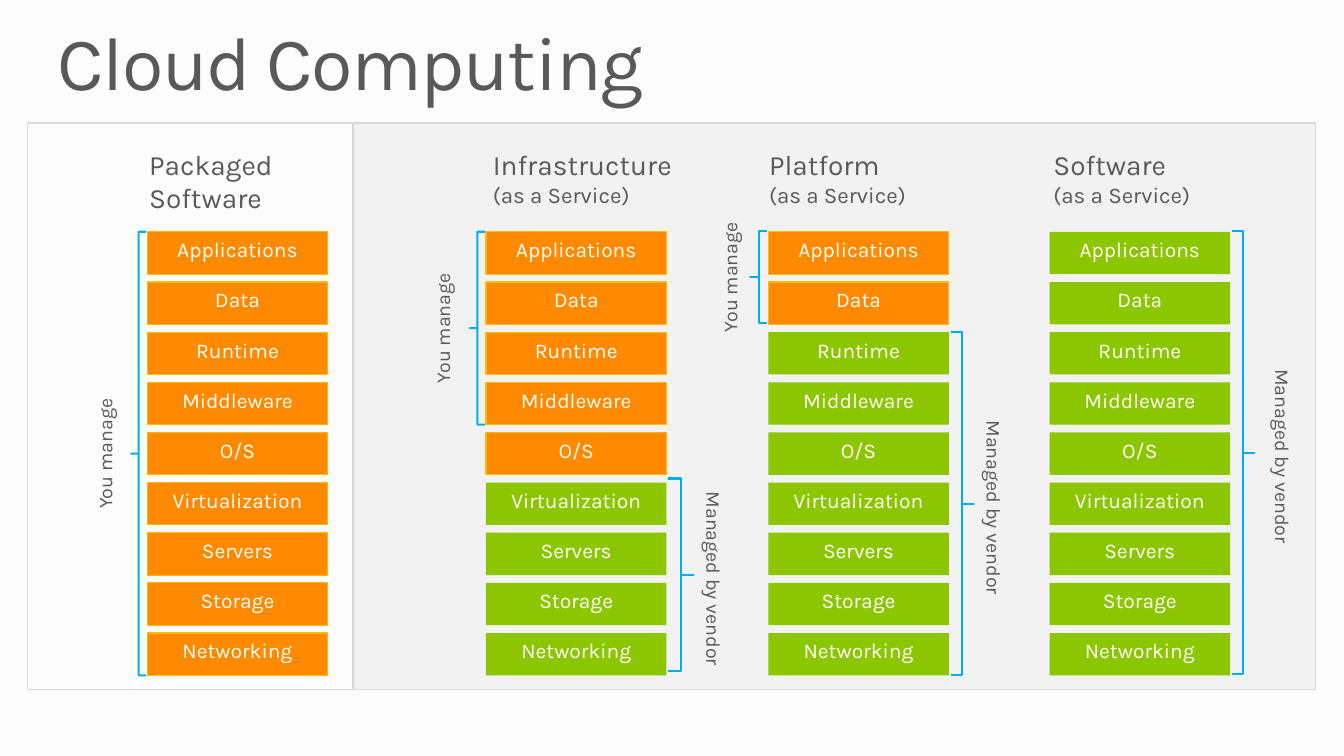
from dataclasses import dataclass

from pptx import Presentation
from pptx.dml.color import RGBColor as RGB
from pptx.enum.shapes import MSO_SHAPE as SHAPE
from pptx.enum.text import MSO_ANCHOR as ANCHOR, MSO_AUTO_SIZE as AUTO, PP_ALIGN as ALIGN
from pptx.util import Inches, Pt


@dataclass(frozen=True)
class Theme:
    """Colours, font and type sizes."""
    font: str = "Karla"
    page: str = "FCFCFC"
    panel: str = "F2F2F2"
    panel_line: str = "D9D9D9"
    text: str = "595959"
    white: str = "FFFFFF"
    own: str = "FF8A00"
    own_line: str = "F9BC00"
    vendor: str = "8CC600"
    brace: str = "00AEEF"
    title_size: int = 54
    head_size: int = 20
    sub_size: int = 16
    layer_size: int = 15
    label_size: int = 14
    thin: float = 0.75
    thick: float = 1.5


@dataclass(frozen=True)
class Brace:
    """Rows that a brace spans, with its width, label distance and nudge."""
    first: int
    last: int
    width: float
    label_gap: float
    dy: float = 0


@dataclass(frozen=True)
class Stack:
    """One service model: a column of layers with its heading and braces."""
    left: float
    heading: tuple
    head_dx: float
    head_width: float
    own_rows: int
    own: Brace = None
    vendor: Brace = None


T = Theme()
LAYERS = ("Applications", "Data", "Runtime", "Middleware", "O/S",
          "Virtualization", "Servers", "Storage", "Networking")
ROW_TOP, LAST_TOP = 2.3, 6.28
PITCH = (LAST_TOP - ROW_TOP) / (len(LAYERS) - 1)
BOX_W, BOX_H = 1.79, 0.42
HEAD_TOP, HEAD_H = 1.46, 0.7
PANEL_TOP, PANEL_H = 1.22, 5.62
LABEL_W = 0.44
SERVICE = "(as a Service)"
STACKS = (
    Stack(1.46, ("Packaged Software",), 0.02, 2.04, 9, own=Brace(0, 8, 0.15, 0.59)),
    Stack(4.82, ("Infrastructure", SERVICE), -0.03, 2.31, 5,
          own=Brace(0, 3, 0.15, 0.6), vendor=Brace(5, 8, 0.25, 0.2, -0.04)),
    Stack(7.62, ("Platform", SERVICE), -0.09, 2.19, 2,
          own=Brace(0, 1, 0.17, 0.55, -0.01), vendor=Brace(2, 8, 0.23, 0.18)),
    Stack(10.41, ("Software", SERVICE), -0.06, 2.22, 0,
          vendor=Brace(0, 8, 0.22, 0.25, -0.01)),
)


def row_top(row):
    """Return the top of a layer row in inches."""
    return ROW_TOP + row * PITCH


def style(p, size, color, align=ALIGN.LEFT):
    """Format a paragraph and its runs."""
    p.alignment = align
    for r in p.runs:
        r.font.name, r.font.size = T.font, Pt(size)
        r.font.color.rgb = RGB.from_string(color)


def add_shape(shapes, kind, box, fill=None, line=None, weight=T.thin):
    """Add a flat preset shape."""
    s = shapes.add_shape(kind, *map(Inches, box))
    s.shadow.inherit = False
    if fill:
        s.fill.solid()
        s.fill.fore_color.rgb = RGB.from_string(fill)
    else:
        s.fill.background()
    if line:
        s.line.color.rgb = RGB.from_string(line)
        s.line.width = Pt(weight)
    else:
        s.line.fill.background()
    return s


def add_text(shapes, box, lines, sizes, inset=0):
    """Add a wrapped text box with one paragraph per line."""
    tf = shapes.add_textbox(*map(Inches, box)).text_frame
    tf.word_wrap = True
    tf.margin_left = tf.margin_right = Inches(inset)
    tf.margin_top = tf.margin_bottom = 0
    tf.text = "\n".join(lines)
    for p, size in zip(tf.paragraphs, sizes):
        style(p, size, T.text)
    return tf


def add_layer(shapes, left, row, name, owned):
    """Add one layer of a stack, coloured by who runs it."""
    fill, line = (T.own, T.own_line) if owned else (T.vendor, None)
    s = add_shape(shapes, SHAPE.RECTANGLE, (left, row_top(row), BOX_W, BOX_H), fill, line)
    tf = s.text_frame
    tf.margin_left = tf.margin_right = 0
    tf.vertical_anchor = ANCHOR.TOP
    tf.text = name
    style(tf.paragraphs[0], T.layer_size, T.white, ALIGN.CENTER)


def add_label(shapes, left, middle, height, text, direction):
    """Add a vertical label centred on a height."""
    box = (left, middle - height / 2, LABEL_W, height)
    tf = shapes.add_textbox(*map(Inches, box)).text_frame
    tf.text = text
    tf.word_wrap = False
    tf.auto_size = AUTO.SHAPE_TO_FIT_TEXT
    tf._txBody.bodyPr.set("vert", direction)
    style(tf.paragraphs[0], T.label_size, T.text, ALIGN.CENTER)


def add_brace(shapes, left, brace, flip=False):
    """Add a square brace along its rows and return its middle height."""
    top = row_top(brace.first) + brace.dy
    height = (brace.last - brace.first) * PITCH + BOX_H
    s = add_shape(shapes, SHAPE.LEFT_BRACE, (left, top, brace.width, height),
                  line=T.brace, weight=T.thick)
    s.adjustments[0], s.adjustments[1] = 0, 0.5
    if flip:
        s._element.spPr.xfrm.set("flipH", "1")
    return top + height / 2


def add_stack(slide, stack):
    """Add a heading, its layers and the braces beside them as a group."""
    shapes = slide.shapes.add_group_shape().shapes
    add_text(shapes, (stack.left + stack.head_dx, HEAD_TOP, stack.head_width, HEAD_H),
             stack.heading, (T.head_size, T.sub_size),
             inset=0.1 if SERVICE in stack.heading else 0)
    for row, name in enumerate(LAYERS):
        add_layer(shapes, stack.left, row, name, row < stack.own_rows)
    if stack.own:
        middle = add_brace(shapes, stack.left - stack.own.width - 0.01, stack.own)
        add_label(shapes, stack.left - stack.own.label_gap, middle, 1.17,
                  "You manage", "vert270")
    if stack.vendor:
        right = stack.left + BOX_W
        middle = add_brace(shapes, right + 0.02, stack.vendor, flip=True)
        add_label(shapes, right + stack.vendor.label_gap, middle, 1.85,
                  "Managed by vendor", "eaVert")


def add_title(slide, text):
    """Add the slide title."""
    tf = add_text(slide.shapes, (0.57, 0.25, 12.19, 0.82), (text,), (T.title_size,))
    p = tf.paragraphs[0]
    p.line_spacing = 0.9
    p.runs[0].font._element.set("spc", "-100")


def main():
    """Build the slide and save it."""
    prs = Presentation()
    prs.slide_width, prs.slide_height = Inches(13.33), Inches(7.5)
    slide = prs.slides.add_slide(prs.slide_layouts[6])
    slide.background.fill.solid()
    slide.background.fill.fore_color.rgb = RGB.from_string(T.page)
    add_shape(slide.shapes, SHAPE.RECTANGLE, (3.51, PANEL_TOP, 9.54, PANEL_H),
              T.panel, T.panel_line)
    add_title(slide, "Cloud Computing")
    for stack in STACKS:
        add_stack(slide, stack)
    add_shape(slide.shapes, SHAPE.RECTANGLE, (0.27, PANEL_TOP, 3.23, PANEL_H),
              line=T.panel_line)
    prs.save("out.pptx")


if __name__ == "__main__":
    main()
